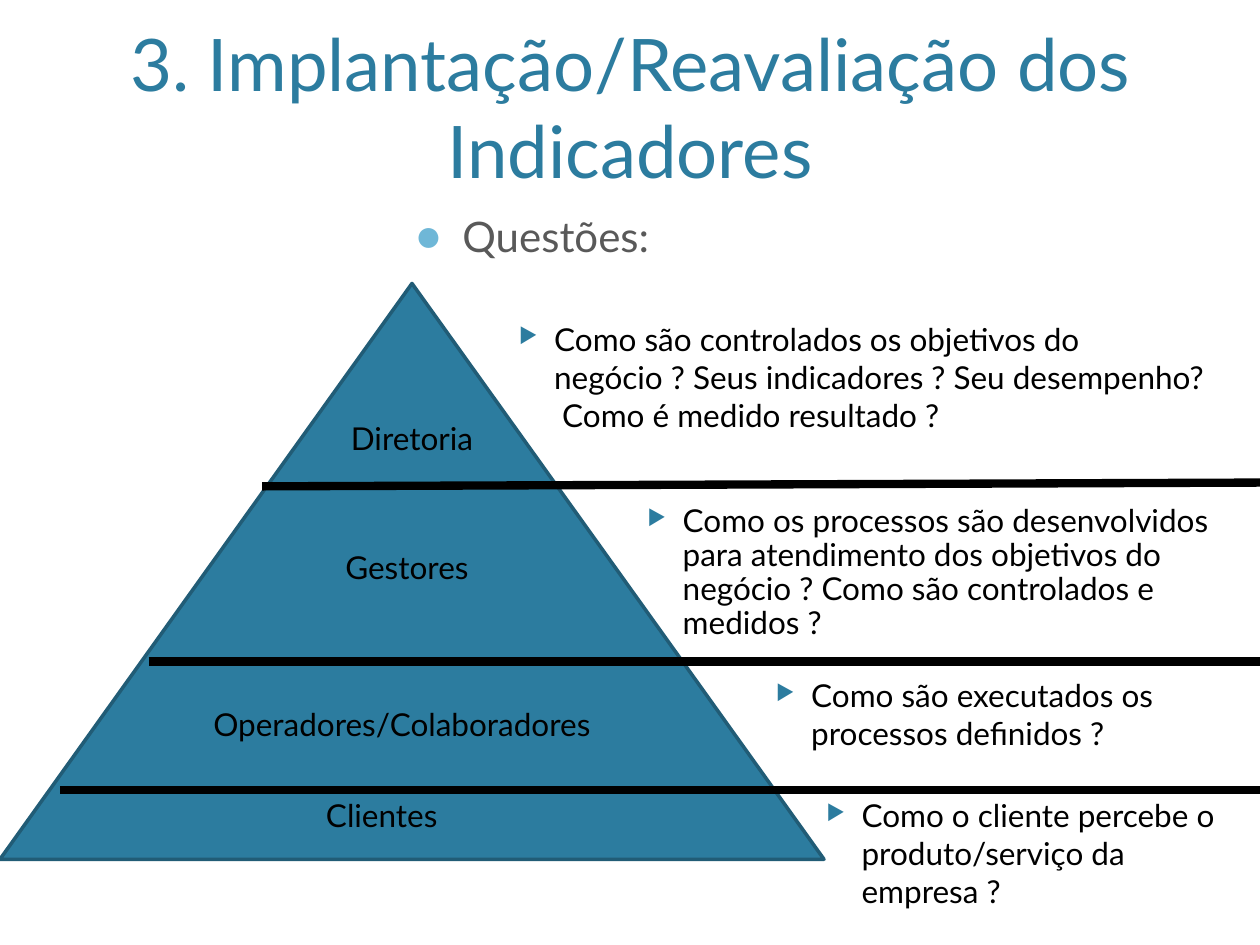
"""Build the slide on indicator questions for each level of a pyramid."""
from lxml import etree
from pptx import Presentation, util as u
from pptx.dml.color import RGBColor
from pptx.enum import shapes, text
from pptx.oxml.ns import qn

THEME = {
    "font": "Lato", "title": "2C7C9F", "heading": "595959", "ink": "000000",
    "edge": "215C76", "dot": "6FB7D7",
    "title_size": 41.4, "heading_size": 24, "text_size": 18,
    "edge_width": 2, "rule_width": 4.75,
}

presentation = Presentation()
presentation.slide_width, presentation.slide_height = u.Inches(10), u.Inches(7.5)
COLUMN = presentation.slide_width / 100
ROW = presentation.slide_height / 75
slide = presentation.slides.add_slide(presentation.slide_layouts[1])


def grid(left, top, width, height):
    return [round(n * unit) for n, unit in zip((left, top, width, height), (COLUMN, ROW) * 2)]


def write(shape, words, size, color, frame_format, paragraph_format, bullet=None):
    for name, value in {"word_wrap": True, "auto_size": text.MSO_AUTO_SIZE.NONE, **frame_format}.items():
        setattr(shape.text_frame, name, value)
    paragraph = shape.text_frame.paragraphs[0]
    if bullet:
        mark, mark_color, percent, margin, indent = bullet
        properties = paragraph._p.get_or_add_pPr()
        properties.set("marL", str(round(margin * COLUMN)))
        properties.set("indent", str(round(indent * COLUMN)))
        holder = etree.SubElement(properties, qn("a:buClr"))
        etree.SubElement(holder, qn("a:srgbClr"), val=mark_color)
        etree.SubElement(properties, qn("a:buSzPct"), val=str(percent * 1000))
        etree.SubElement(properties, qn("a:buChar"), char=mark)
    for name, value in {"space_before": u.Pt(0), **paragraph_format}.items():
        setattr(paragraph, name, value)
    run = paragraph.add_run()
    run.text = words
    for name, value in {"name": THEME["font"], "size": u.Pt(size)}.items():
        setattr(run.font, name, value)
    run.font.color.rgb = RGBColor.from_string(color)


title, body = slide.shapes.title, slide.placeholders[1]
for placeholder, box in ((title, (6, 1.2, 88, 14.6)), (body, (31.9, 16.2, 64.6, 7.9))):
    for name, value in zip(("left", "top", "width", "height"), grid(*box)):
        setattr(placeholder, name, value)
TOP = {"vertical_anchor": text.MSO_ANCHOR.TOP}
CENTER = {"alignment": text.PP_ALIGN.CENTER}
LEFT = {"alignment": text.PP_ALIGN.LEFT}
write(title, "3. Implantação/Reavaliação dos Indicadores", THEME["title_size"], THEME["title"],
      {"vertical_anchor": text.MSO_ANCHOR.BOTTOM}, CENTER)
write(body, "Questões:", THEME["heading_size"], THEME["heading"], TOP, LEFT,
      ("●", THEME["dot"], 110, 3.8, -3.8))

pyramid = slide.shapes.add_shape(shapes.MSO_SHAPE.ISOSCELES_TRIANGLE, *grid(0, 22.5, 65.4, 45.7))
pyramid.shadow.inherit = False
pyramid.fill.solid()
pyramid.fill.fore_color.rgb = RGBColor.from_string(THEME["title"])
pyramid.line.color.rgb = RGBColor.from_string(THEME["edge"])
pyramid.line.width = u.Pt(THEME["edge_width"])

levels = (("Diretoria", 14.2, 32.8), ("Gestores", 13.8, 43),
          ("Operadores/Colaboradores", 13.4, 55.5), ("Clientes", 11.8, 62.7))
for level, left, top in levels:
    label = slide.shapes.add_textbox(*grid(left, top, 37, 4))
    write(label, level, THEME["text_size"], THEME["ink"],
          {"auto_size": text.MSO_AUTO_SIZE.SHAPE_TO_FIT_TEXT}, CENTER)

for left, start, end in ((20.8, 38.6, 38.3), (11.8, 52.5, 52.5), (4.8, 62.7, 62.7)):
    rule = slide.shapes.add_connector(shapes.MSO_CONNECTOR.STRAIGHT, *grid(left, start, 100, end))
    rule.line.color.rgb = RGBColor.from_string(THEME["ink"])
    rule.line.width = u.Pt(THEME["rule_width"])
    etree.SubElement(rule._element.spPr, qn("a:effectLst"))

hard_space = chr(160)
questions = (
    (f"Como são controlados os objetivos do negócio{hard_space}? Seus indicadores ? "
     f"Seu desempenho? {hard_space}Como é medido resultado ?", (39, 24.9, 57.9, 12.6), 1),
    ("Como os processos são desenvolvidos para atendimento dos objetivos do negócio ? "
     "Como são controlados e medidos ?", (49.2, 39.6, 50.8, 12.9), 0.9),
    ("Como são executados os processos definidos ?", (59.4, 53.2, 40.6, 8.7), 1),
    ("Como o cliente percebe o produto/serviço da empresa ?", (63.4, 62.7, 36.6, 10.2), 1),
)
for question, box, spacing in questions:
    write(slide.shapes.add_textbox(*grid(*box)), question, THEME["text_size"], THEME["ink"], TOP,
          {**LEFT, "line_spacing": spacing}, ("▶", THEME["title"], 68, 4, -2.8))

presentation.save("out.pptx")
